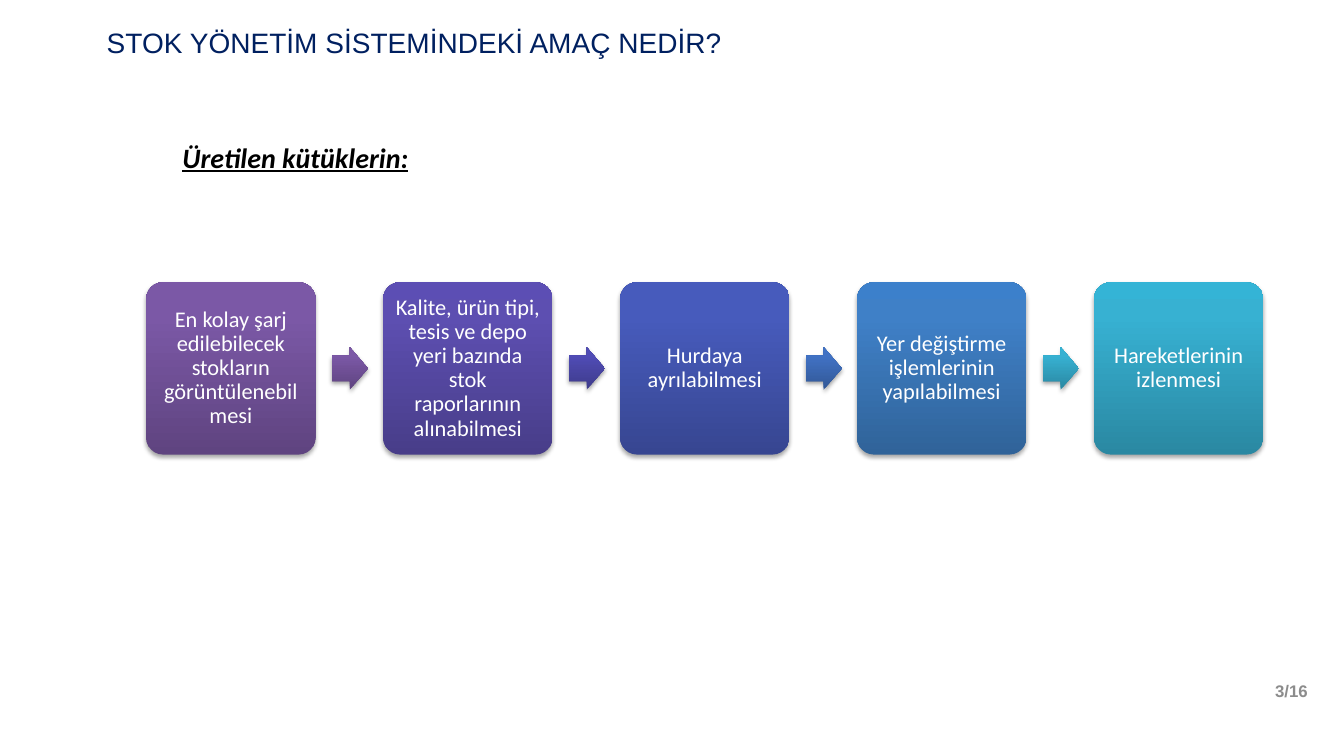
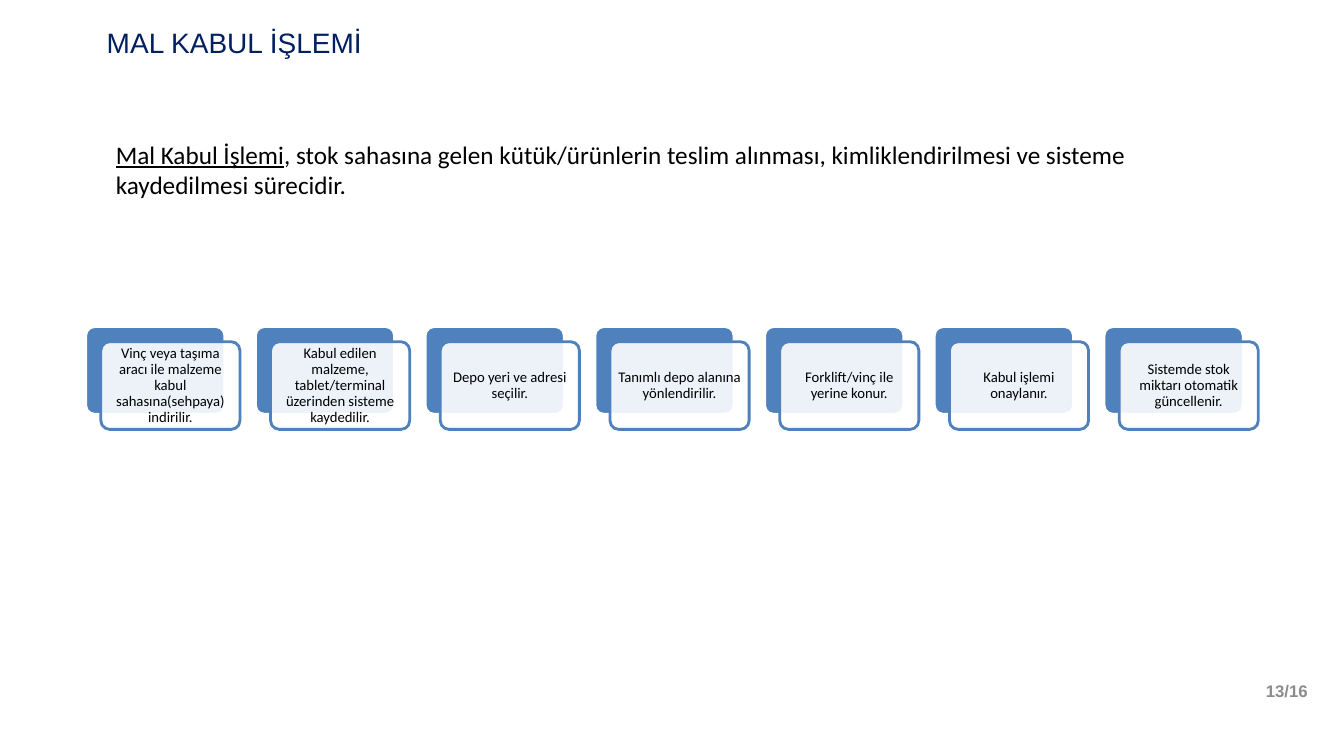
from lxml import etree
from pptx import Presentation
from pptx import util as u
from pptx.dml.color import RGBColor
from pptx.enum import shapes, text
from pptx.oxml import ns

COLORS = {
    "title": "002060",
    "footer": "8C8C8C",
    "body": "000000",
    "white": "FFFFFF",
    "card": "4F81BD",
    "shadow": "000000",
}

# Gradient stops from bottom to top: dark, middle, light
GRADIENTS = {
    "purple": ("5F4480", "7B58A6", "7C57A8"),
    "violet": ("483D89", "5D4FB1", "5C4EB4"),
    "indigo": ("3E3B8B", "504CB5", "4F4BB8"),
    "royal": ("374691", "475BBC", "455ABF"),
    "azure": ("325897", "4172C4", "3F72C7"),
    "blue": ("306399", "3F80C7", "3C80CB"),
    "cyan": ("2A88A2", "37B1D2", "34B4D6"),
}
STOP_POSITIONS = (0, 0.8, 1)

FONTS = {
    "title": {"name": "Arial", "size": u.Pt(20)},
    "footer": {"name": "Arial", "size": u.Pt(12), "bold": True},
    "heading": {"name": "Calibri", "size": u.Pt(20), "bold": True,
                "italic": True, "underline": True},
    "intro": {"name": "Calibri", "size": u.Pt(18)},
    "term": {"name": "Calibri", "size": u.Pt(18), "underline": True},
    "step": {"name": "Calibri", "size": u.Pt(16)},
    "card": {"name": "Calibri", "size": u.Pt(10.5)},
}

PAGE_COUNT = 16

# Each step: text, box gradient, gradient of the arrow that follows
STEPS = [
    ("En kolay şarj edilebilecek stokların görüntülenebilmesi", "purple", "purple"),
    ("Kalite, ürün tipi, tesis ve depo yeri bazında stok raporlarının alınabilmesi",
     "violet", "indigo"),
    ("Hurdaya ayrılabilmesi", "royal", "azure"),
    ("Yer değiştirme işlemlerinin yapılabilmesi", "blue", "cyan"),
    ("Hareketlerinin izlenmesi", "cyan", None),
]

CARDS = [
    "Vinç veya taşıma aracı ile malzeme kabul sahasına(sehpaya) indirilir.",
    "Kabul edilen malzeme, tablet/terminal üzerinden sisteme kaydedilir.",
    "Depo yeri ve adresi seçilir.",
    "Tanımlı depo alanına yönlendirilir.",
    "Forklift/vinç ile yerine konur.",
    "Kabul işlemi onaylanır.",
    "Sistemde stok miktarı otomatik güncellenir.",
]


def rgb(name):
    return RGBColor.from_string(COLORS[name])


def inches(box):
    return [u.Inches(value) for value in box]


# Text
def write(shape, runs, align=text.PP_ALIGN.LEFT, anchor=text.MSO_ANCHOR.MIDDLE,
          inset=None, line_spacing=None):
    """Fill a shape with one paragraph; runs are (words, font, color)."""
    frame = shape.text_frame
    frame.word_wrap = True
    frame.vertical_anchor = anchor
    if inset is not None:
        for side in ("left", "top", "right", "bottom"):
            setattr(frame, f"margin_{side}", u.Inches(inset))
    paragraph = frame.paragraphs[0]
    paragraph.alignment = align
    paragraph.line_spacing = line_spacing
    for words, font, color in runs:
        run = paragraph.add_run()
        run.text = words
        for attribute, value in FONTS[font].items():
            setattr(run.font, attribute, value)
        run.font.color.rgb = rgb(color)


def add_text(slide, box, runs, **layout):
    write(slide.shapes.add_textbox(*inches(box)), runs, **layout)


# Shapes
def add_plain_shape(slide, kind, box, adjustments):
    shape = slide.shapes.add_shape(kind, *inches(box))
    shape.shadow.inherit = False
    for index, value in enumerate(adjustments):
        shape.adjustments[index] = value
    return shape


def set_gradient(shape, name):
    shape.fill.gradient()
    shape.fill.gradient_angle = 90
    stop_list = shape.fill.gradient_stops
    stops = shape.element.spPr.find(".//" + ns.qn("a:gsLst"))
    last = etree.SubElement(stops, ns.qn("a:gs"), pos="100000")
    etree.SubElement(last, ns.qn("a:srgbClr"), val=COLORS["white"])
    stop_list = shape.fill.gradient_stops
    for stop, position, color in zip(stop_list, STOP_POSITIONS, GRADIENTS[name]):
        stop.position = position
        stop.color.rgb = RGBColor.from_string(color)


def set_shadow(shape):
    effects = shape.element.spPr.find(ns.qn("a:effectLst"))
    shadow = etree.SubElement(effects, ns.qn("a:outerShdw"), blurRad="40000",
                              dist="23000", dir="5400000", rotWithShape="0")
    color = etree.SubElement(shadow, ns.qn("a:srgbClr"), val=COLORS["shadow"])
    etree.SubElement(color, ns.qn("a:alpha"), val="35000")


def add_gradient_shape(slide, kind, box, adjustments, gradient):
    shape = add_plain_shape(slide, kind, box, adjustments)
    set_gradient(shape, gradient)
    shape.line.fill.background()
    set_shadow(shape)
    return shape


def add_card_layer(slide, box, fill, line, opacity=100):
    shape = add_plain_shape(slide, shapes.MSO_SHAPE.ROUNDED_RECTANGLE, box, [0.1])
    shape.fill.solid()
    shape.fill.fore_color.rgb = rgb(fill)
    if opacity < 100:
        color = shape.element.spPr.find(
            ns.qn("a:solidFill") + "/" + ns.qn("a:srgbClr"))
        etree.SubElement(color, ns.qn("a:alpha"), val=str(opacity * 1000))
    shape.line.color.rgb = rgb(line)
    shape.line.width = u.Pt(2)
    return shape


# Shared slide frame: title and page number
def add_slide(presentation, title, number):
    slide = presentation.slides.add_slide(presentation.slide_layouts[6])
    add_text(slide, (8.87, 6.66, 4.2, 0.39),
             [(f"{number}/{PAGE_COUNT}", "footer", "footer")],
             align=text.PP_ALIGN.RIGHT)
    add_text(slide, (0.96, -0.04, 12.05, 0.92), [(title, "title", "title")])
    return slide


# Row of gradient boxes joined by block arrows
def add_process(slide, steps):
    left, top, width, height, pitch = 1.45, 2.8, 1.68, 1.71, 2.35
    arrow_offset, arrow_width, arrow_height = 1.84, 0.36, 0.42
    arrow_top = top + (height - arrow_height) / 2
    for index, (words, box_gradient, arrow_gradient) in enumerate(steps):
        x = left + index * pitch
        box = add_gradient_shape(slide, shapes.MSO_SHAPE.ROUNDED_RECTANGLE,
                                 (x, top, width, height), [0.1], box_gradient)
        write(box, [(words, "step", "white")], align=text.PP_ALIGN.CENTER,
              inset=0.07, line_spacing=0.9)
        if arrow_gradient:
            add_gradient_shape(
                slide, shapes.MSO_SHAPE.RIGHT_ARROW,
                (x + arrow_offset, arrow_top, arrow_width, arrow_height),
                [0.6, 0.5], arrow_gradient)


# Row of cards, each a blue plate with an offset white sheet
def add_cards(slide, cards):
    first, last, top, width, height, offset = 0.85, 10.95, 3.24, 1.38, 0.87, 0.15
    pitch = (last - first) / (len(cards) - 1)
    for index, words in enumerate(cards):
        x = first + index * pitch
        add_card_layer(slide, (x, top, width, height), "card", "white")
        sheet = add_card_layer(slide, (x + offset, top + offset, width, height),
                               "white", "card", opacity=90)
        write(sheet, [(words, "card", "body")], align=text.PP_ALIGN.CENTER,
              inset=0.05, line_spacing=0.9)


def main():
    presentation = Presentation()
    presentation.slide_width = u.Inches(13.33)
    presentation.slide_height = u.Inches(7.5)

    # Purpose of the stock system
    slide = add_slide(presentation, "STOK YÖNETİM SİSTEMİNDEKİ AMAÇ NEDİR?", 3)
    add_text(slide, (1.71, 1.34, 7.66, 0.44),
             [("Üretilen kütüklerin:", "heading", "body")],
             anchor=text.MSO_ANCHOR.TOP)
    add_process(slide, STEPS)

    # Goods receipt
    slide = add_slide(presentation, "MAL KABUL İŞLEMİ", 13)
    add_text(slide, (1.05, 1.33, 11.58, 0.71),
             [("Mal Kabul İşlemi", "term", "body"),
              (", stok sahasına gelen kütük/ürünlerin teslim alınması, "
               "kimliklendirilmesi ve sisteme kaydedilmesi sürecidir.",
               "intro", "body")],
             anchor=text.MSO_ANCHOR.TOP)
    add_cards(slide, CARDS)

    presentation.save("out.pptx")


if __name__ == "__main__":
    main()
